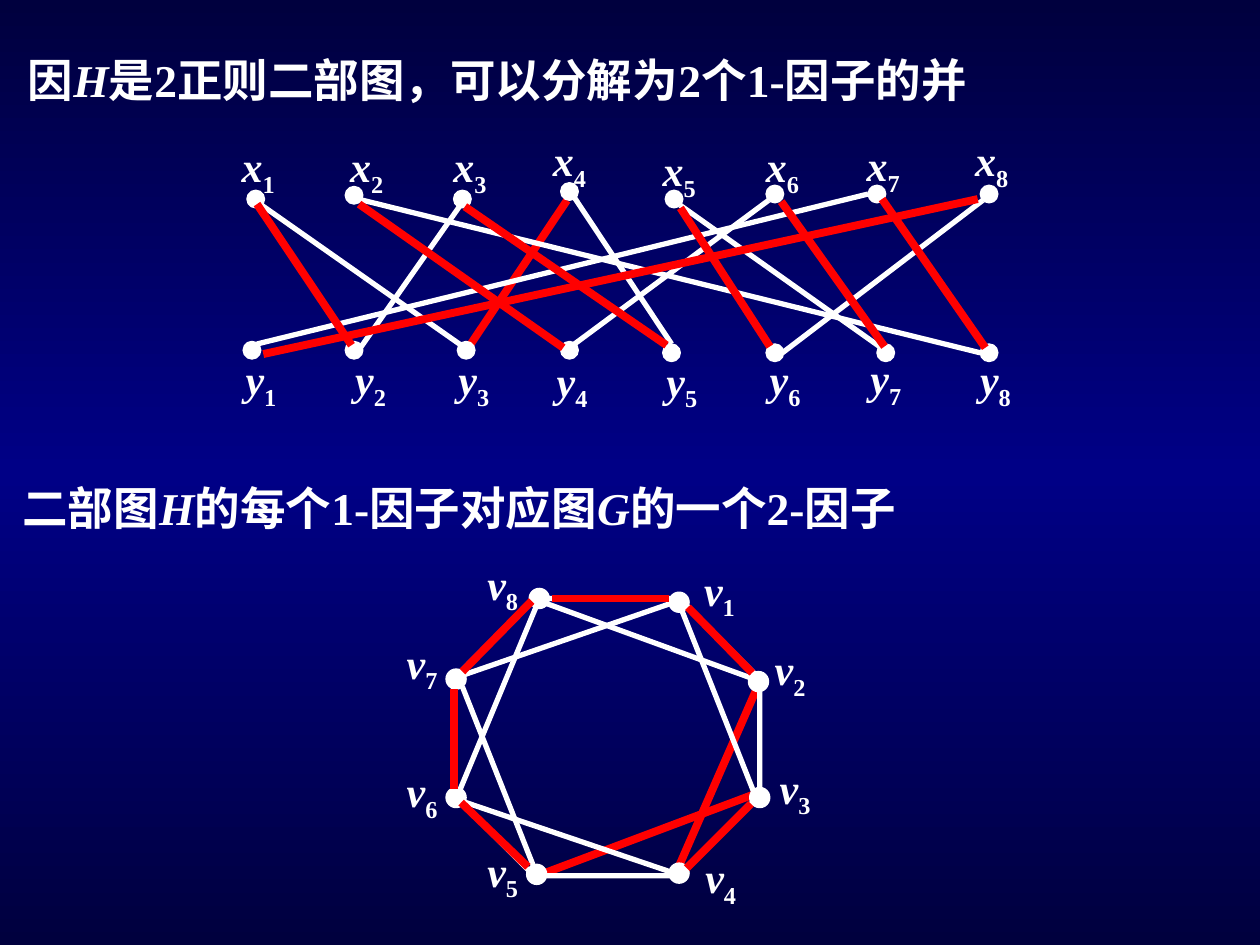
import copy
from dataclasses import dataclass

import pptx
import pptx.dml.color
import pptx.enum.shapes
import pptx.enum.text
import pptx.oxml.ns
import pptx.util
from pptx.util import Inches


@dataclass(frozen=True)
class Theme:
    font: str = "Times New Roman"
    ink: str = "FFFFFF"
    factor: str = "FF0000"
    night: str = "00003E"
    blue: str = "000086"
    statement_size: float = 26
    label_size: float = 24
    edge_width: float = 3
    factor_width: float = 4.5
    dot_line: float = 0.75


THEME = Theme()

# Vertex and edge positions are inches from the top left of each graph's box.
X_DOTS = [(.16, .51), (.94, .48), (1.8, .51), (2.65, .45),
          (3.48, .51), (4.28, .47), (5.09, .47), (5.98, .47)]
Y_DOTS = [(.13, 1.71), (.94, 1.71), (1.83, 1.71), (2.65, 1.71),
          (3.46, 1.73), (4.28, 1.73), (5.16, 1.73), (5.98, 1.73)]
X_LABELS = [(.02, .07), (.88, .07), (1.7, .07), (2.49, .02),
            (3.36, .1), (4.18, .07), (4.98, .06), (5.84, .02)]
Y_LABELS = [(.05, 1.76), (.92, 1.76), (1.74, 1.76), (2.52, 1.77),
            (3.39, 1.77), (4.21, 1.76), (5.01, 1.75), (5.88, 1.76)]
H_BACK_FACTOR = [(2.7, .59, 1.91, 1.77)]
H_EDGES = [(.25, .61, 1.86, 1.74), (.96, .56, 5.98, 1.8),
           (6, .59, 4.41, 1.8), (4.3, .59, 2.76, 1.73),
           (1.86, .62, 1.04, 1.79), (2.76, .57, 3.53, 1.73),
           (5.09, .54, .24, 1.73), (3.6, .63, 5.18, 1.75)]
H_FACTOR = [(1.89, .64, 3.49, 1.74), (.24, .62, .99, 1.74),
            (1.05, .62, 2.67, 1.76), (3.6, .65, 4.31, 1.75),
            (4.4, .6, 5.22, 1.75), (5.2, .58, 6.02, 1.76),
            (5.96, .58, .29, 1.81)]

V_DOTS = [(2.31, .4), (2.94, 1.03), (2.95, 1.95), (2.31, 2.55),
          (1.18, 2.56), (.54, 1.95), (.54, 1.01), (1.2, .37)]
V_LABELS = [(2.47, .13), (3.03, .76), (3.07, 1.7), (2.48, 2.41),
            (.75, 2.36), (.11, 1.73), (.11, .71), (.75, .08)]
G_BACK_FACTOR = [(2.97, 2.01, 1.32, 2.63), (3.03, 1.11, 2.36, 2.64)]
G_EDGES = [(2.39, .49, 2.98, 1.98), (2.38, .47, .67, 1.06),
           (1.31, .48, 3.04, 1.11), (2.41, 2.65, .67, 2.06),
           (1.26, 2.64, .67, 1.15), (1.27, .48, .65, 1.97)]
G_FACTOR = [(2.46, .52, 2.97, 1.04), (2.45, 2.59, 2.96, 2.08),
            (1.19, 2.58, .66, 2.07), (.6, 1.96, .6, 1.17),
            (.67, 1.03, 1.22, .47), (1.38, .45, 2.31, .45)]


def rgb(value):
    return pptx.dml.color.RGBColor.from_string(value)


def style_text(paragraph, size):
    font = paragraph.font
    font.name, font.size, font.bold = THEME.font, pptx.util.Pt(size), True
    font.color.rgb = rgb(THEME.ink)


def paint_background(slide):
    fill = slide.background.fill
    fill.gradient()
    fill.gradient_angle = 270
    stop_list = slide.element.find(".//" + pptx.oxml.ns.qn("a:gsLst"))
    stop_list.append(copy.deepcopy(stop_list[0]))
    colors = (THEME.night, THEME.blue, THEME.night)
    for stop, position, color in zip(fill.gradient_stops, (0, .5, 1), colors):
        stop.position = position
        stop.color.rgb = rgb(color)


def write_statement(shape, box, runs):
    """Fill a one-line statement; runs of one Latin letter are italic."""
    shape.left, shape.top, shape.width, shape.height = map(Inches, box)
    frame = shape.text_frame
    frame.word_wrap = True
    frame.auto_size = pptx.enum.text.MSO_AUTO_SIZE.NONE
    frame.vertical_anchor = pptx.enum.text.MSO_ANCHOR.TOP
    line = frame.paragraphs[0]
    line.alignment = pptx.enum.text.PP_ALIGN.LEFT
    style_text(line, THEME.statement_size)
    for words in runs:
        run = line.add_run()
        run.text = words
        run.font.italic = words in ("H", "G")


def add_edges(shapes, box, edges, color, width):
    left, top = box[:2]
    for x1, y1, x2, y2 in edges:
        edge = shapes.add_connector(
            pptx.enum.shapes.MSO_CONNECTOR.STRAIGHT,
            Inches(left + x1), Inches(top + y1),
            Inches(left + x2), Inches(top + y2))
        edge.line.color.rgb = rgb(color)
        edge.line.width = pptx.util.Pt(width)
        effects = pptx.oxml.ns.qn("a:effectLst")
        edge._element.spPr.append(edge._element.makeelement(effects, {}))


def add_plain(shapes, box, edges):
    add_edges(shapes, box, edges, THEME.ink, THEME.edge_width)


def add_factor(shapes, box, edges):
    add_edges(shapes, box, edges, THEME.factor, THEME.factor_width)


def add_dots(shapes, box, dots, size):
    for x, y in dots:
        dot = shapes.add_shape(
            pptx.enum.shapes.MSO_SHAPE.OVAL, Inches(box[0] + x),
            Inches(box[1] + y), Inches(size), Inches(size))
        dot.shadow.inherit = False
        dot.fill.solid()
        dot.fill.fore_color.rgb = rgb(THEME.ink)
        dot.line.color.rgb = rgb(THEME.ink)
        dot.line.width = pptx.util.Pt(THEME.dot_line)


def add_labels(shapes, box, letter, places, width, alignment):
    for index, (x, y) in enumerate(places, 1):
        label = shapes.add_textbox(Inches(box[0] + x), Inches(box[1] + y),
                                   Inches(width), Inches(.56))
        label.text_frame.word_wrap = True
        line = label.text_frame.paragraphs[0]
        line.alignment = alignment
        style_text(line, THEME.label_size)
        vertex, subscript = line.add_run(), line.add_run()
        vertex.text, subscript.text = letter, str(index)
        vertex.font.italic = True
        subscript._r.get_or_add_rPr().set("baseline", "-25000")


def add_bipartite_graph(slide, box):
    shapes = slide.shapes.add_group_shape().shapes
    left_aligned = pptx.enum.text.PP_ALIGN.LEFT
    add_factor(shapes, box, H_BACK_FACTOR)
    add_dots(shapes, box, X_DOTS + Y_DOTS, .14)
    add_plain(shapes, box, H_EDGES)
    add_labels(shapes, box, "x", X_LABELS, .51, left_aligned)
    add_labels(shapes, box, "y", Y_LABELS, .51, left_aligned)
    add_factor(shapes, box, H_FACTOR)


def add_octagon_graph(slide, box):
    shapes = slide.shapes.add_group_shape().shapes
    add_factor(shapes, box, G_BACK_FACTOR)
    add_labels(shapes, box, "v", V_LABELS, .48, pptx.enum.text.PP_ALIGN.CENTER)
    rim = shapes.add_shape(
        pptx.enum.shapes.MSO_SHAPE.OCTAGON, Inches(box[0] + .6),
        Inches(box[1] + .45), Inches(2.43), Inches(2.2))
    rim.adjustments[0] = .29
    rim.shadow.inherit = False
    rim.fill.background()
    rim.line.color.rgb = rgb(THEME.ink)
    rim.line.width = pptx.util.Pt(THEME.edge_width)
    add_dots(shapes, box, V_DOTS, .16)
    add_plain(shapes, box, G_EDGES)
    add_factor(shapes, box, G_FACTOR)


def main():
    deck = pptx.Presentation()
    deck.slide_width, deck.slide_height = Inches(10), Inches(7.5)
    slide = deck.slides.add_slide(deck.slide_layouts.get_by_name("Title Only"))
    paint_background(slide)
    write_statement(slide.shapes.title, (.12, .36, 9.64, .54),
                    ["因", "H", "是2正则二部图，可以分解为2个1-因子的并"])
    write_statement(slide.shapes.add_textbox(0, 0, 0, 0), (.08, 3.76, 9.64, .54),
                    ["二部图", "H", "的每个1-因子对应图", "G", "的一个2-因子"])
    add_bipartite_graph(slide, (1.8, 1))
    add_octagon_graph(slide, (3, 4.3))
    deck.save("out.pptx")


if __name__ == "__main__":
    main()
